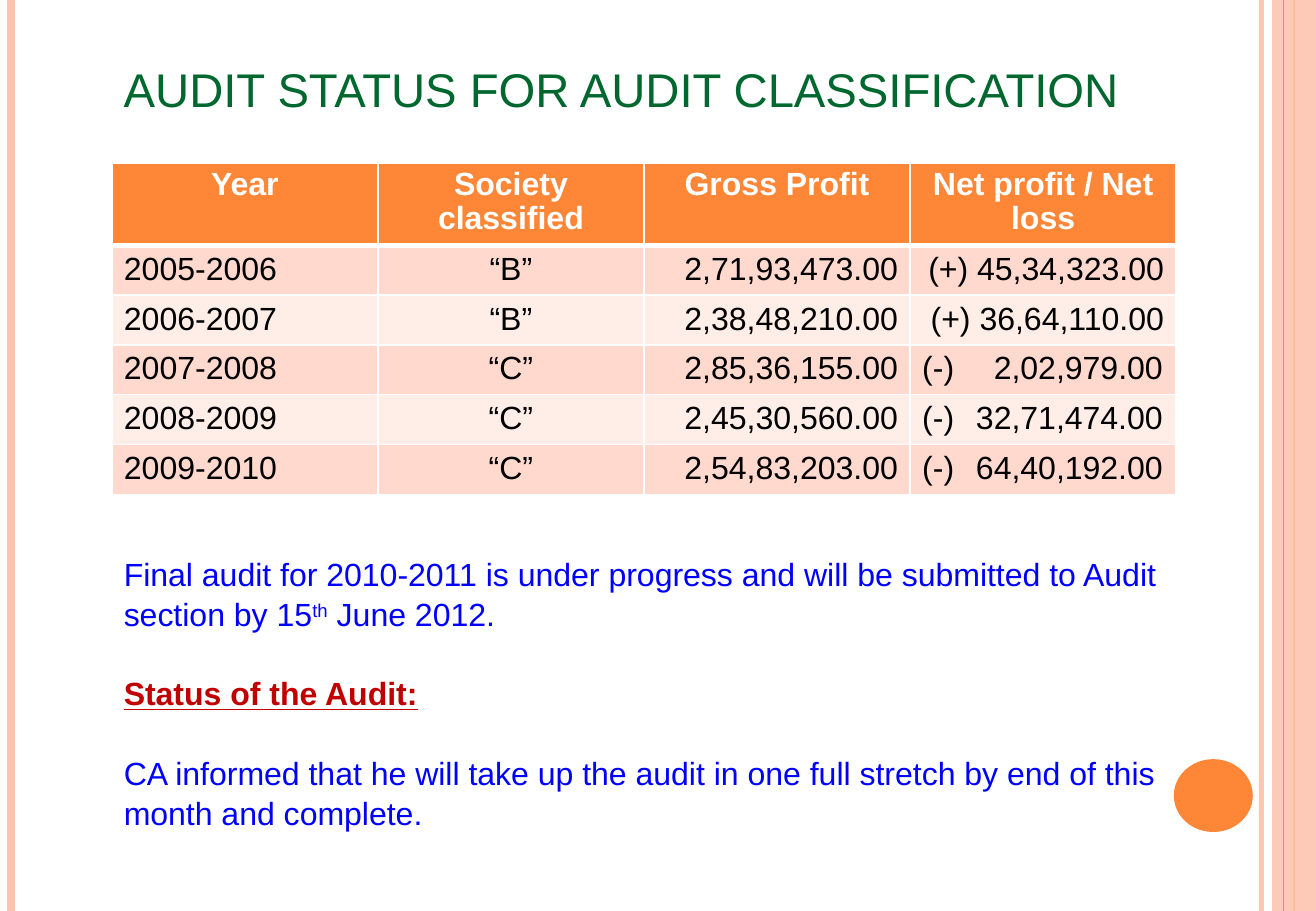
from dataclasses import dataclass

from lxml import etree
from pptx import Presentation, util as u
from pptx.dml.color import RGBColor
from pptx.enum import shapes, text
from pptx.oxml import ns

FONT = "Arial"
BODY_SIZE = 19
ORANGE, PEACH, WHITE, BLACK = "FE8637", "FEC3AE", "FFFFFF", "000000"
BANDS = ("FFD9CE", "FFEDE8")
BLUE, RED, GREEN = "0000FF", "C00000", "00682F"
LEFT, CENTER, RIGHT = text.PP_ALIGN.LEFT, text.PP_ALIGN.CENTER, text.PP_ALIGN.RIGHT
SLIDE_HEIGHT = 7.5
TABLE_LEFT, COLUMN_WIDTH = 0.92, 2.19
AMOUNT_TAB = 1.98


@dataclass
class Rule:
    """A full-height vertical line of the slide's frame."""
    x: float
    color: str
    width: float
    opacity: int = 100


@dataclass
class AuditYear:
    year: str
    grade: str
    gross: str
    net: str


@dataclass
class Note:
    pieces: tuple[str, ...]  # every second piece is superscript
    color: str
    heading: bool = False


RULES = (Rule(10.38, PEACH, 3, 93), Rule(0.09, PEACH, 4.5), Rule(10.65, ORANGE, 1.5))
FRONT_RULE = Rule(10.56, ORANGE, 0.75)
HEADINGS = ("Year", "Society classified", "Gross Profit", "Net profit / Net loss")
AUDIT_YEARS = (
    AuditYear("2005-2006", "“B”", "2,71,93,473.00", "(+) 45,34,323.00"),
    AuditYear("2006-2007", "“B”", "2,38,48,210.00", "(+) 36,64,110.00"),
    AuditYear("2007-2008", "“C”", "2,85,36,155.00", "(-)\t2,02,979.00"),
    AuditYear("2008-2009", "“C”", "2,45,30,560.00", "(-)\t32,71,474.00"),
    AuditYear("2009-2010", "“C”", "2,54,83,203.00", "(-)\t64,40,192.00"),
)
NOTES = (
    Note(("Final audit for 2010-2011 is under progress and will be submitted to "
          "Audit section by 15", "th", " June 2012."), BLUE),
    Note(("Status of the Audit:",), RED, heading=True),
    Note(("CA informed that he will take up the audit in one full stretch by end "
          "of this month and complete.",), BLUE),
)


def rgb(color: str) -> RGBColor:
    return RGBColor.from_string(color)


def child(parent, tag: str, **attributes: str):
    return etree.SubElement(parent, ns.qn(tag), attributes)


def set_opacity(container, percent: int) -> None:
    if percent < 100:
        solid = next(container.iter(ns.qn("a:srgbClr")))
        child(solid, "a:alpha", val=str(percent * 1000))


def add_text(paragraph, content: str, *, color: str, size: float = BODY_SIZE,
             bold: bool = False, underline: bool = False, superscript: bool = False) -> None:
    run = paragraph.add_run()
    run.text = content
    run.font.name, run.font.size = FONT, u.Pt(size)
    run.font.bold, run.font.underline = bold, underline
    run.font.color.rgb = rgb(color)
    if superscript:
        run.font._element.set("baseline", "30000")


def add_rule(slide, rule: Rule) -> None:
    x = u.Inches(rule.x)
    line = slide.shapes.add_connector(
        shapes.MSO_CONNECTOR.STRAIGHT, x, 0, x, u.Inches(SLIDE_HEIGHT))
    line.line.color.rgb = rgb(rule.color)
    line.line.width = u.Pt(rule.width)
    properties = line._element.spPr
    set_opacity(properties, rule.opacity)
    child(properties, "a:effectLst")


def add_block(slide, kind, box: tuple[float, float, float, float], color: str,
              opacity: int = 100) -> None:
    block = slide.shapes.add_shape(kind, *map(u.Inches, box))
    block.shadow.inherit = False
    block.fill.solid()
    block.fill.fore_color.rgb = rgb(color)
    block.line.fill.background()
    set_opacity(block._element.spPr, opacity)


def add_frame(slide) -> None:
    for rule in RULES:
        add_rule(slide, rule)
    add_block(slide, shapes.MSO_SHAPE.RECTANGLE, (10.47, 0, 0.36, SLIDE_HEIGHT), PEACH, 87)
    add_rule(slide, FRONT_RULE)
    add_block(slide, shapes.MSO_SHAPE.OVAL, (9.66, 6.25, 0.65, 0.6), ORANGE)


def style_cell(cell, color: str, top: float = 1, bottom: float = 1) -> None:
    """Give a cell white borders, widths in points, and a solid fill."""
    properties = cell._tc.get_or_add_tcPr()
    for side, width in zip("LRTB", (1, 1, top, bottom)):
        border = child(properties, f"a:ln{side}", w=str(u.Pt(width)))
        child(child(border, "a:solidFill"), "a:srgbClr", val=WHITE)
    cell.fill.solid()
    cell.fill.fore_color.rgb = rgb(color)


def add_audit_table(slide) -> None:
    table = slide.shapes.add_table(
        len(AUDIT_YEARS) + 1, len(HEADINGS), u.Inches(TABLE_LEFT), u.Inches(1.34),
        u.Inches(COLUMN_WIDTH * len(HEADINGS)), u.Inches(2.73)).table
    for column in table.columns:
        column.width = u.Inches(COLUMN_WIDTH)
    for index, row in enumerate(table.rows):
        row.height = u.Inches(0.41 if index else 0.68)

    for column, heading in enumerate(HEADINGS):
        cell = table.cell(0, column)
        style_cell(cell, ORANGE, bottom=3)
        paragraph = cell.text_frame.paragraphs[0]
        paragraph.alignment, paragraph.line_spacing = CENTER, 0.95
        add_text(paragraph, heading, color=WHITE, bold=True)

    for row, audit in enumerate(AUDIT_YEARS, start=1):
        values = (audit.year, audit.grade, audit.gross, audit.net)
        for column, (value, align) in enumerate(zip(values, (LEFT, CENTER, RIGHT, RIGHT))):
            cell = table.cell(row, column)
            style_cell(cell, BANDS[(row - 1) % 2], top=3 if row == 1 else 1)
            paragraph = cell.text_frame.paragraphs[0]
            paragraph.alignment = align
            if "\t" in value:
                paragraph.alignment = LEFT
                tabs = child(paragraph._p.get_or_add_pPr(), "a:tabLst")
                child(tabs, "a:tab", pos=str(u.Inches(AMOUNT_TAB)), algn="r")
            add_text(paragraph, value, color=BLACK)


def add_text_frame(slide, box: tuple[float, float, float, float], wrap: bool):
    frame = slide.shapes.add_textbox(*map(u.Inches, box)).text_frame
    frame.word_wrap = wrap
    return frame


def add_notes(slide) -> None:
    frame = add_text_frame(slide, (TABLE_LEFT, 4.5, 8.75, 2.34), wrap=True)
    for index, note in enumerate(NOTES):
        paragraph = frame.add_paragraph() if index else frame.paragraphs[0]
        paragraph.line_spacing = 1.05
        paragraph.space_before = u.Pt(23 if index else 0)
        for position, piece in enumerate(note.pieces):
            add_text(paragraph, piece, color=note.color, bold=note.heading,
                     underline=note.heading, superscript=position % 2 == 1)


def add_title(slide) -> None:
    title = add_text_frame(slide, (TABLE_LEFT, 0.42, 8.86, 0.57), wrap=False).paragraphs[0]
    title.line_spacing = 1.05
    add_text(title, "AUDIT STATUS FOR AUDIT CLASSIFICATION", color=GREEN, size=28)


def main() -> None:
    deck = Presentation()
    deck.slide_width, deck.slide_height = u.Inches(10.83), u.Inches(SLIDE_HEIGHT)
    slide = deck.slides.add_slide(deck.slide_layouts[6])
    add_frame(slide)
    add_audit_table(slide)
    add_notes(slide)
    add_title(slide)
    deck.save("out.pptx")


if __name__ == "__main__":
    main()
